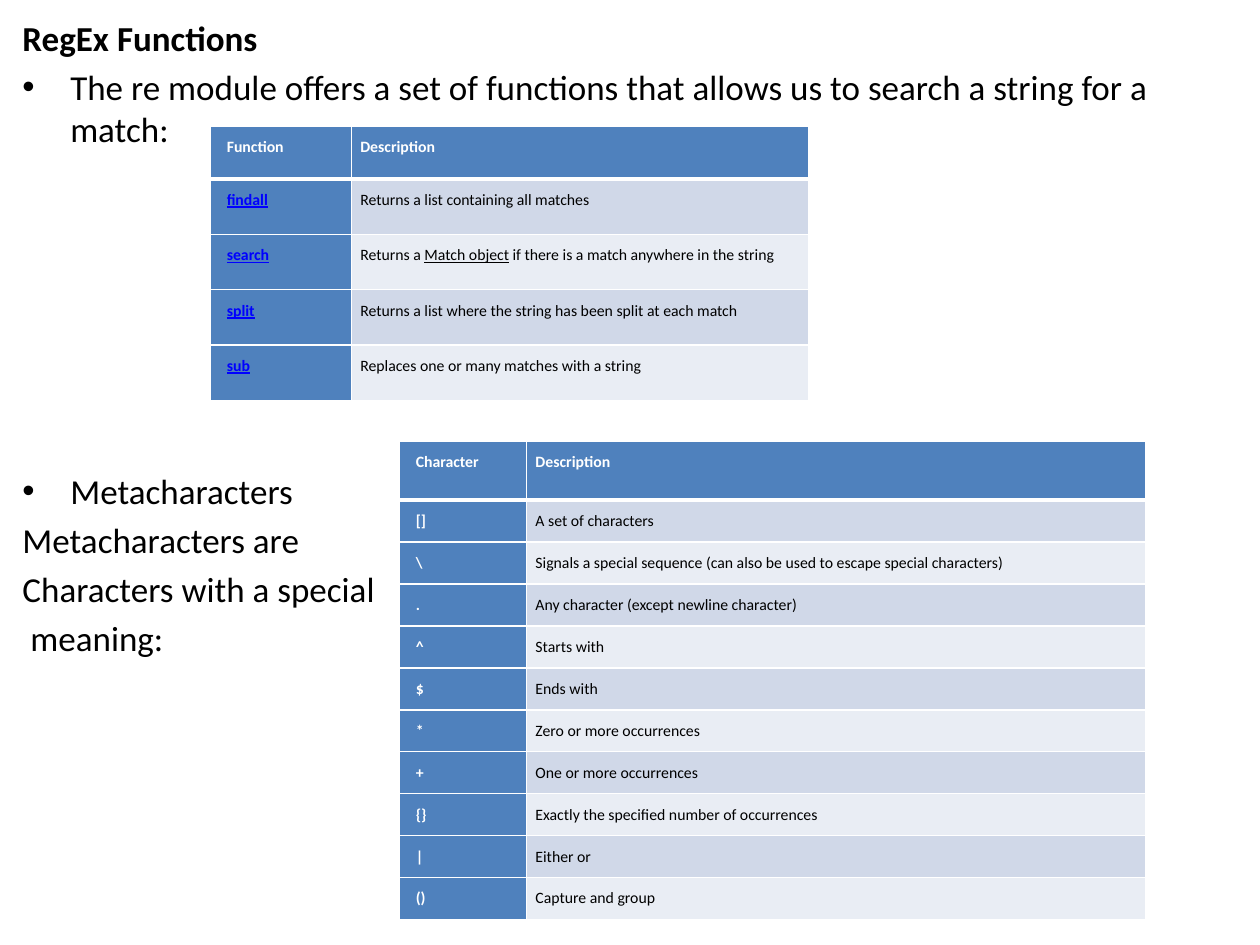
"""Build a slide on RegEx functions and metacharacters."""
from lxml.etree import SubElement
from pptx import Presentation
from pptx.dml.color import RGBColor
from pptx.enum.text import MSO_ANCHOR
from pptx.oxml.ns import qn
from pptx.util import Inches, Pt

BLACK = RGBColor(0x00, 0x00, 0x00)
WHITE = RGBColor(0xFF, 0xFF, 0xFF)
LINK = RGBColor(0x00, 0x00, 0xFF)
BLUE = RGBColor(0x4F, 0x81, 0xBD)
BANDS = RGBColor(0xD0, 0xD8, 0xE8), RGBColor(0xE9, 0xED, 0xF4)
FONT = "Calibri"
INDENT = 0.38

TEXTS = [
    {"at": (0.08, 0.08, 9.83, 1.15), "lines": [
        ("RegEx Functions", "bold"),
        ("The re module offers a set of functions that allows us to "
         "search a string for a match:", "bullet")]},
    {"at": (0.08, 3.68, 3.08, 1.7), "lines": [
        ("Metacharacters", "bullet"),
        ("Metacharacters are", "plain"),
        ("Characters with a special", "plain"),
        (" meaning:", "plain")]},
]

TABLES = [
    {"at": (1.67, 1), "cols": (1.12, 3.63), "head": 0.42, "row": 0.44,
     "links": True, "rows": [
         ("Function", "Description"),
         ("findall", "Returns a list containing all matches"),
         ("search", ("Returns a ", "Match object",
                     " if there is a match anywhere in the string")),
         ("split", "Returns a list where the string has been split at each match"),
         ("sub", "Replaces one or many matches with a string")]},
    {"at": (3.17, 3.5), "cols": (1.01, 4.91), "head": 0.47, "row": 0.333,
     "links": False, "rows": [
         ("Character", "Description"),
         ("[]", "A set of characters"),
         ("\\", "Signals a special sequence (can also be used to escape "
          "special characters)"),
         (".", "Any character (except newline character)"),
         ("^", "Starts with"),
         ("$", "Ends with"),
         ("*", "Zero or more occurrences"),
         ("+", "One or more occurrences"),
         ("{}", "Exactly the specified number of occurrences"),
         ("|", "Either or"),
         ("()", "Capture and group")]},
]


def style(run, size, color, bold=False, under=False):
    font = run.font
    font.name, font.size, font.bold = FONT, Pt(size), bold
    font.underline = under
    font.color.rgb = color


def add_bullet(para):
    props = para._p.get_or_add_pPr()
    props.set("marL", str(Inches(INDENT)))
    props.set("indent", str(-Inches(INDENT)))
    SubElement(props, qn("a:buFont"), typeface="Arial")
    SubElement(props, qn("a:buChar"), char="•")


def add_text(slide, at, lines):
    frame = slide.shapes.add_textbox(*map(Inches, at)).text_frame
    frame.word_wrap = True
    frame.text = "\n".join(text for text, _ in lines)
    for i, (para, (_, kind)) in enumerate(zip(frame.paragraphs, lines)):
        if i:
            para.space_before = Pt(4)
        if kind == "bullet":
            add_bullet(para)
        style(para.runs[0], 20, BLACK, kind == "bold")


def add_edges(cell, row):
    props = cell._tc.get_or_add_tcPr()
    widths = {"L": 1, "R": 1, "T": 3 if row == 1 else 1, "B": 1 if row else 3}
    for side, width in widths.items():
        line = SubElement(props, qn(f"a:ln{side}"), w=str(Pt(width)))
        fill = SubElement(line, qn("a:solidFill"))
        SubElement(fill, qn("a:srgbClr"), val=str(WHITE))


def fill_cell(cell, row, col, text, links):
    add_edges(cell, row)
    key = row == 0 or col == 0
    cell.fill.solid()
    cell.fill.fore_color.rgb = BLUE if key else BANDS[(row - 1) % 2]
    cell.vertical_anchor = MSO_ANCHOR.TOP
    cell.margin_left = Inches(0.07 if col else 0.13)
    cell.margin_right = cell.margin_top = cell.margin_bottom = Inches(0.07)
    para = cell.text_frame.paragraphs[0]
    para.line_spacing = 1.15
    link = links and row > 0 and col == 0
    color = LINK if link else WHITE if key else BLACK
    for i, part in enumerate((text,) if isinstance(text, str) else text):
        run = para.add_run()
        run.text = part
        style(run, 9, color, key, link or i == 1)


def add_grid(slide, at, cols, head, row, links, rows):
    heights = [head] + [row] * (len(rows) - 1)
    table = slide.shapes.add_table(
        len(rows), len(cols),
        *map(Inches, (*at, sum(cols), sum(heights)))).table
    for col, width in zip(table.columns, cols):
        col.width = Inches(width)
    for line, height in zip(table.rows, heights):
        line.height = Inches(height)
    for r, texts in enumerate(rows):
        for c, text in enumerate(texts):
            fill_cell(table.cell(r, c), r, c, text, links)


def main():
    deck = Presentation()
    deck.slide_width, deck.slide_height = Inches(10), Inches(7.5)
    slide = deck.slides.add_slide(deck.slide_layouts[6])
    for text in TEXTS:
        add_text(slide, **text)
    for table in TABLES:
        add_grid(slide, **table)
    deck.save("out.pptx")


if __name__ == "__main__":
    main()
